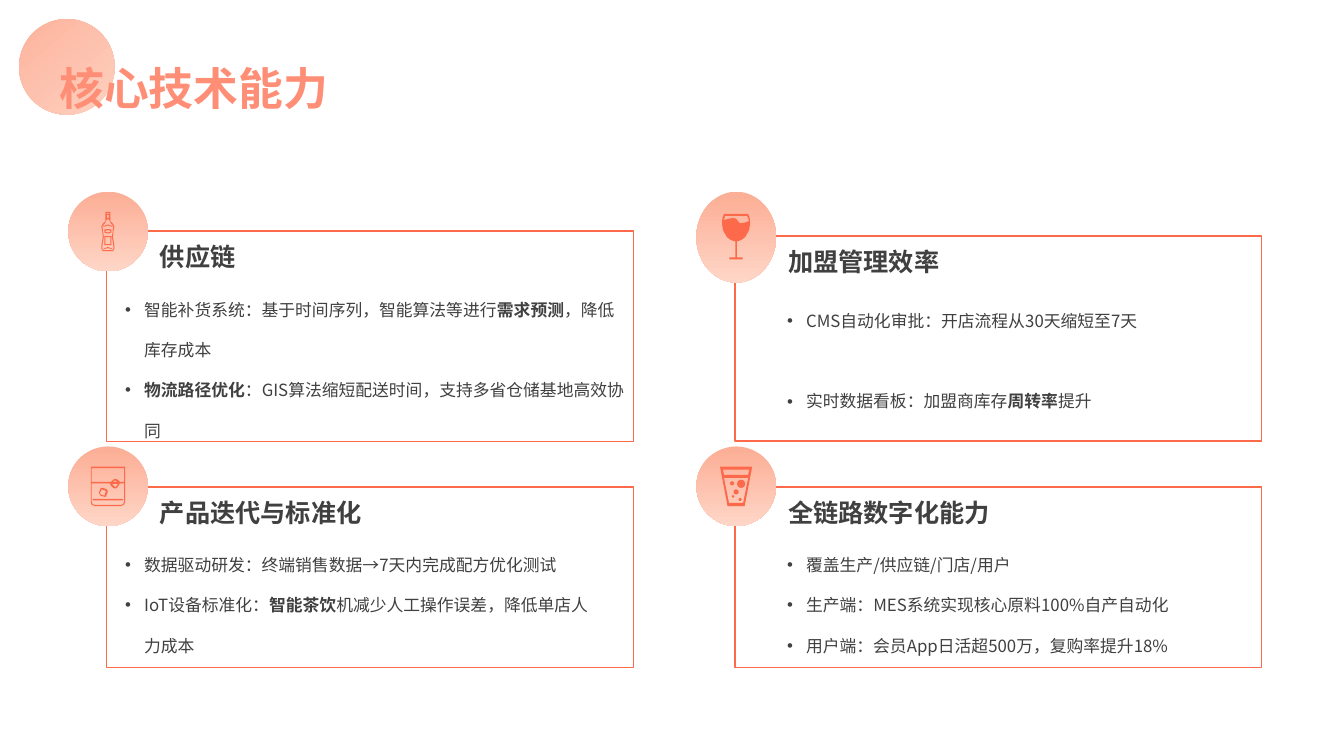
from math import cos, pi, sin

from lxml.etree import SubElement
from pptx import Presentation
from pptx.dml.color import RGBColor
from pptx.enum.shapes import MSO_SHAPE
from pptx.enum.text import MSO_ANCHOR, MSO_AUTO_SIZE, PP_ALIGN
from pptx.oxml.ns import qn
from pptx.util import Cm, Pt

COLORS = {
    "coral": "FC6A4B",
    "title": "FE8E76",
    "peach": "FCAF97",
    "blush": "FED6C7",
    "text": "404040",
}


def mirror(*right):
    """Close a right-hand profile with its reflection."""
    return [*right, *((-x, y) for x, y in reversed(right))]


def bubble(x, y, radius):
    """Return the outline of a round bubble."""
    turns = [2 * pi * step / 24 for step in range(24)]
    return [(x + radius * cos(t), y + radius * sin(t)) for t in turns]


BOTTLE = [
    mirror((2.5, -19.5), (2.5, -16.5), (2.5, -10), (4.5, -8.5), (6.5, -5),
           (5.5, 0), (5, 5.5), (6.5, 14), (6.5, 17), (5, 19.5)),
    mirror((1, -12), (2, -10), (3.5, -7.5), (5.5, -5), (5, -2), (4, 5.5),
           (5.5, 14), (5.5, 17), (5, 18.5)),
    mirror((1, -16.5), (1, -13.5)),
    mirror((1.5, -18.5), (1.5, -17.5)),
    mirror((3.5, 4.5), (3.5, 13.5)),
    mirror((2.5, 5.5), (2.5, 12.5)),
    mirror((0, -2.5), (3.5, -2), (3.5, 1), (0, 2)),
    mirror((0, -1.5), (2.5, -0.7), (2.5, 0.3), (0, 1)),
    mirror((0, -7), (4.5, -5.3), (4.5, -4.6), (0, -6)),
    mirror((0, 15.3), (4.5, 17), (4.5, 17.7), (0, 16.3)),
]
WINE = [
    mirror((12, -23), (13.5, -19), (14, -14), (13, -7), (9, 0), (5, 3),
           (0.7, 4.2), (0.7, 20), (6.5, 20), (6.5, 22)),
    [(11, -21), (13, -16), (9, -14.5), (5, -13.8), (3, -14.3), (1.5, -16.5),
     (0, -18.3), (-3, -19), (-8, -18), (-12, -17), (-11, -21)],
]
TUMBLER = [
    mirror((17, -19.5), (17, 15.5), (16, 18.3), (13, 19.5)),
    [(16, -18), (16, -4.5), (12, -4.5), (11, -5.5), (8, -7.5), (6, -7),
     (3, -4.5), (-16, -4.5), (-16, -18)],
    [(16, -3), (16, 15.5), (15, 17.7), (13, 18.5), (-13, 18.5), (-15, 17.7),
     (-16, 15.5), (-16, -3), (2, -3), (3, -0.5), (6, 2), (8, 2), (9, 1.5),
     (12, -3)],
    [(5, -4.5), (9, -4.5), (7, -6)],
    [(4, -2.5), (10, -2.5), (8, 0.5), (7, 0.5)],
    mirror((15, 12.5), (15, 14)),
    [(-9, 6.5), (-7, 1.5), (-5, 1.5), (-1, 3), (0, 5), (-2, 10.5), (-7, 9.5)],
    [(-8, 7), (-6, 3), (-2, 4.5), (-3.3, 9.2), (-6.5, 8.3)],
]
SODA = [
    mirror((16, -19.5), (8.5, 19.5)),
    mirror((13, -16.5), (12, -11.5)),
    mirror((12, -8.5), (7, 16.5)),
    bubble(5, -2.5, 4),
    bubble(0, 5.5, 2.5),
    bubble(-4, -3, 2),
    bubble(4, 13, 1.5),
    bubble(-3, 10, 1.2),
]


class CapabilitySlide:
    """Hold the slide and its style, and draw each kind of element."""

    font_name = "Noto Sans CJK SC"

    def __init__(self, slide):
        self.slide = slide

    def gradient(self, fill, colors, angle, start=0.0):
        """Apply a two-stop linear gradient."""
        fill.gradient()
        fill.gradient_angle = angle
        for stop, position, color in zip(fill.gradient_stops, (start, 1.0), colors):
            stop.position = position
            stop.color.rgb = RGBColor.from_string(COLORS[color])

    def run(self, paragraph, text, size, bold=False):
        """Add one styled run."""
        run = paragraph.add_run()
        run.text = text
        run.font.size = Pt(size)
        run.font.bold = bold
        run.font.name = self.font_name
        run.font.fill.solid()
        run.font.color.rgb = RGBColor.from_string(COLORS["text"])
        SubElement(run._r.get_or_add_rPr(), qn("a:ea"), typeface=self.font_name)
        return run

    def place(self, holder, left, top, width, height):
        """Place a text holder and prepare its frame."""
        holder.left, holder.top = Cm(left), Cm(top)
        holder.width, holder.height = Cm(width), Cm(height)
        frame = holder.text_frame
        frame.word_wrap = True
        frame.vertical_anchor = MSO_ANCHOR.TOP
        frame.auto_size = MSO_AUTO_SIZE.SHAPE_TO_FIT_TEXT
        return frame

    def title(self, text):
        """Fill the title placeholder."""
        frame = self.place(self.slide.shapes.title, 1.24, 1.4, 9.42, 1.63)
        frame.paragraphs[0].alignment = PP_ALIGN.LEFT
        run = self.run(frame.paragraphs[0], text, 32, True)
        self.gradient(run.font.fill, ("title", "coral"), 144)

    def heading(self, text, left, top):
        """Add a panel heading as wide as its characters."""
        width = 0.64 * len(text) + 0.51
        box = self.slide.shapes.add_textbox(0, 0, 0, 0)
        frame = self.place(box, left, top, width, 1.02)
        frame.word_wrap = False
        self.run(frame.paragraphs[0], text, 18, True)

    def bullets(self, holder, items, gap, left, top, width, height):
        """Fill a body placeholder with items whose odd parts are bold."""
        frame = self.place(holder, left, top, width, height)
        for number, item in enumerate(items):
            paragraph = frame.add_paragraph() if number else frame.paragraphs[0]
            paragraph.line_spacing = 2.0
            paragraph.space_before = Pt(gap if number else 0)
            paragraph.space_after = Pt(0)
            properties = paragraph._p.get_or_add_pPr()
            properties.set("marL", str(Cm(0.48)))
            properties.set("indent", str(-Cm(0.48)))
            SubElement(properties, qn("a:buFont"), typeface="Arial")
            SubElement(properties, qn("a:buChar"), char="•")
            for part, text in enumerate(item.split("*")):
                if text:
                    self.run(paragraph, text, 12, part % 2 == 1)

    def frame(self, left, top, width, height):
        """Add a thin panel outline."""
        outline = self.slide.shapes.add_shape(
            MSO_SHAPE.RECTANGLE, Cm(left), Cm(top), Cm(width), Cm(height))
        outline.shadow.inherit = False
        outline.fill.background()
        outline.line.color.rgb = RGBColor.from_string(COLORS["coral"])
        outline.line.width = Pt(1)

    def disc(self, left, top, width, height):
        """Add a peach gradient disc."""
        disc = self.slide.shapes.add_shape(
            MSO_SHAPE.OVAL, Cm(left), Cm(top), Cm(width), Cm(height))
        disc.shadow.inherit = False
        disc.line.fill.background()
        self.gradient(disc.fill, ("peach", "blush"), 270, 0.04)
        return disc

    def icon(self, contours, x, y):
        """Draw an icon around its centre, in hundredths of an inch."""
        placed = [[(Cm(x + 0.0254 * dx), Cm(y + 0.0254 * dy)) for dx, dy in contour]
                  for contour in contours]
        builder = self.slide.shapes.build_freeform(*placed[0][0])
        for contour in placed:
            builder.move_to(*contour[0])
            builder.add_line_segments(contour[1:], close=True)
        glyph = builder.convert_to_shape()
        glyph.shadow.inherit = False
        glyph.fill.solid()
        glyph.fill.fore_color.rgb = RGBColor.from_string(COLORS["coral"])
        glyph.line.fill.background()


LEFT, RIGHT = 2.69, 18.52
UPPER, LOWER = 4.83, 11.25
PANELS = [
    ("供应链", BOTTLE, LEFT, UPPER, 2.01, 5.82, 5.31, (2.9, 1.09, 13.16, 4.24), 0,
     ["智能补货系统：基于时间序列，智能算法等进行*需求预测*，降低库存成本",
      "*物流路径优化*：GIS算法缩短配送时间，支持多省仓储基地高效协同"]),
    ("加盟管理效率", WINE, RIGHT, UPPER, 2.29, 5.95, 5.16, (19.58, 1.24, 11.48, 3.2), 28.8,
     ["CMS自动化审批：开店流程从30天缩短至7天",
      "实时数据看板：加盟商库存*周转率*提升"]),
    ("产品迭代与标准化", TUMBLER, LEFT, LOWER, 2.01, 12.27, 4.55, (2.9, 1.07, 12.4, 3.2), 0,
     ["数据驱动研发：终端销售数据→7天内完成配方优化测试",
      "IoT设备标准化：*智能茶饮*机减少人工操作误差，降低单店人力成本"]),
    ("全链路数字化能力", SODA, RIGHT, LOWER, 2.01, 12.27, 4.55, (19.58, 1.07, 11.48, 3.2), 0,
     ["覆盖生产/供应链/门店/用户",
      "生产端：MES系统实现核心原料100%自产自动化",
      "用户端：会员App日活超500万，复购率提升18%"]),
]


def main():
    """Build and save the capability slide."""
    deck = Presentation()
    deck.slide_width, deck.slide_height = Cm(33.87), Cm(19.05)
    slide = deck.slides.add_slide(deck.slide_layouts[4])
    page = CapabilitySlide(slide)
    corner = page.disc(0.48, 0.48, 2.41, 2.41)
    corner.rotation = 320
    corner.element.getparent().insert(2, corner.element)
    page.title("核心技术能力")
    for holder_id, panel in enumerate(PANELS, start=1):
        name, icon, left, disc_top, disc_height, top, height, area, gap, items = panel
        list_left, list_drop, list_width, list_height = area
        page.frame(left, top, 13.28, height)
        page.disc(left - 0.97, disc_top, 2.01, disc_height)
        page.icon(icon, left + 0.03, disc_top + disc_height / 2)
        page.heading(name, left + 1.09, top + 0.14)
        page.bullets(slide.placeholders[holder_id], items, gap,
                     list_left, top + list_drop, list_width, list_height)
    deck.save("out.pptx")


if __name__ == "__main__":
    main()
